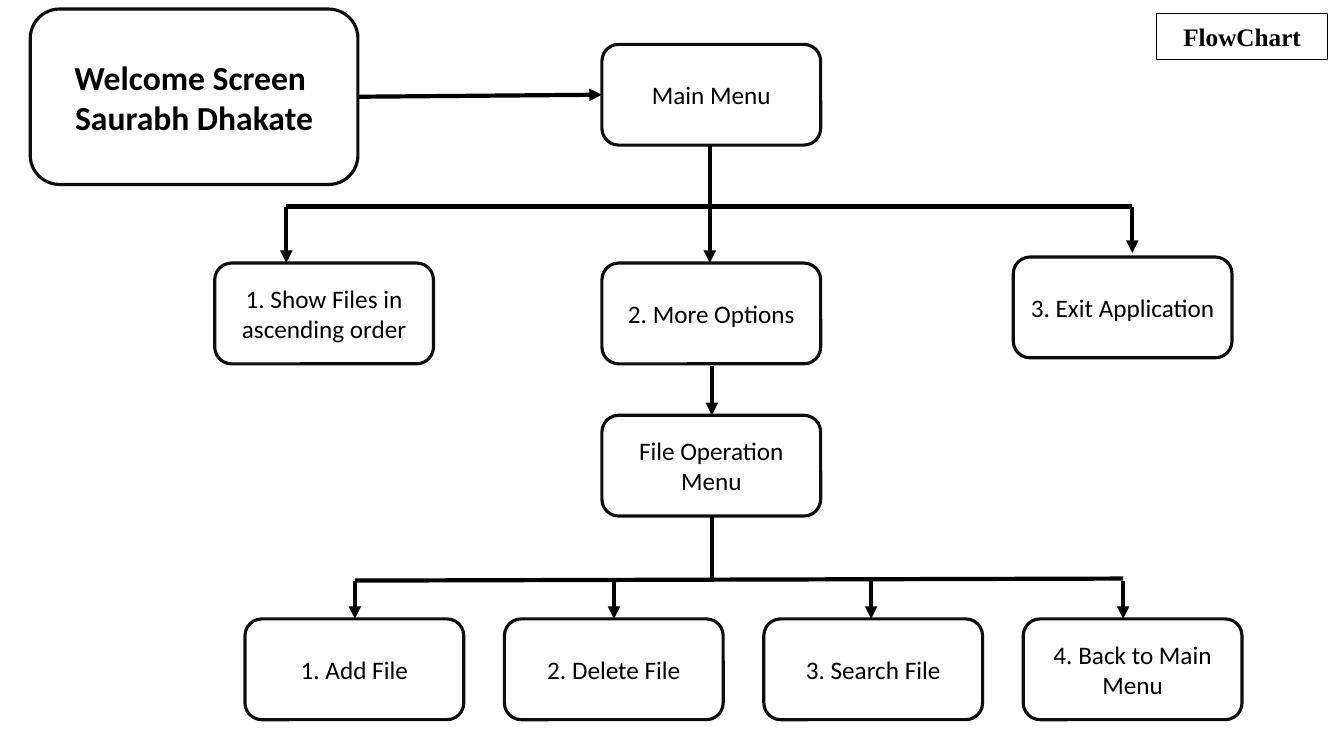
from pptx import Presentation
from pptx.dml.color import RGBColor
from pptx.enum.shapes import MSO_CONNECTOR, MSO_SHAPE
from pptx.enum.text import MSO_ANCHOR, PP_ALIGN
from pptx.oxml.ns import qn
from pptx.util import Inches, Pt
from lxml.etree import SubElement


def color(value):
    return RGBColor.from_string(value)


class FlowChart:
    text_color = "000000"
    connector_color = "000000"
    box_fill = "FFFFFF"
    box_line = "0D0D0D"
    label_font = {"name": "Calibri", "size": Pt(18), "bold": False}
    welcome_font = {"name": "Calibri", "size": Pt(24), "bold": True}
    title_font = {"name": "Times New Roman", "size": Pt(18), "bold": True}

    def __init__(self, slide):
        self.slide = slide

    def shape(self, preset, lines, bounds, font, line_color, line_width):
        shape = self.slide.shapes.add_shape(preset, *map(Inches, bounds))
        shape.shadow.inherit = False
        shape.line.color.rgb = color(line_color)
        shape.line.width = Pt(line_width)
        frame = shape.text_frame
        frame.word_wrap = True
        frame.vertical_anchor = MSO_ANCHOR.MIDDLE
        for index, text in enumerate(lines):
            paragraph = frame.add_paragraph() if index else frame.paragraphs[0]
            paragraph.alignment = PP_ALIGN.CENTER
            run = paragraph.add_run()
            run.text = text
            for attribute, value in font.items():
                setattr(run.font, attribute, value)
            run.font.color.rgb = color(self.text_color)
        return shape

    def box(self, lines, left, top, width=2.17, height=1, font=label_font):
        shape = self.shape(MSO_SHAPE.ROUNDED_RECTANGLE, lines,
                           (left, top, width, height), font, self.box_line, 2.25)
        shape.fill.solid()
        shape.fill.fore_color.rgb = color(self.box_fill)

    def title(self, text, *bounds):
        shape = self.shape(MSO_SHAPE.RECTANGLE, [text], bounds,
                           self.title_font, self.connector_color, 0.75)
        shape.fill.background()

    def line(self, start, end, arrow=False):
        connector = self.slide.shapes.add_connector(
            MSO_CONNECTOR.STRAIGHT, *map(Inches, (*start, *end)))
        connector.line.color.rgb = color(self.connector_color)
        connector.line.width = Pt(3)
        if arrow:
            SubElement(connector.line._get_or_add_ln(), qn("a:tailEnd"), type="triangle")
        SubElement(connector._element.spPr, qn("a:effectLst"))

    def arrow(self, start, end):
        self.line(start, end, arrow=True)


presentation = Presentation()
presentation.slide_width = Inches(13.33)
presentation.slide_height = Inches(7.5)
chart = FlowChart(presentation.slides.add_slide(presentation.slide_layouts[6]))

center_left = 5.97
menu_bar, operation_bar, operation_top = 2.05, 5.76, 6.14

chart.box(["Welcome Screen ", "Saurabh Dhakate"], 0.3, 0.09, 3.25, 1.74, chart.welcome_font)
for text, left, top in [
    ("Main Menu", center_left, 0.44),
    ("1. Show Files in ascending order", 2.13, 2.61),
    ("2. More Options", center_left, 2.61),
    ("3. Exit Application", 10.05, 2.55),
    ("File Operation Menu", center_left, 4.12),
]:
    chart.box([text], left, top)

operations = ["1. Add File", "2. Delete File", "3. Search File", "4. Back to Main Menu"]
for index, text in enumerate(operations):
    chart.box([text], 2.43 + index * 2.573, operation_top)

chart.arrow((3.55, 0.96), (center_left, 0.94))

chart.line((7.04, 1.45), (7.04, menu_bar))
chart.line((2.84, menu_bar), (11.23, menu_bar))
for x, tip in [(2.84, 2.61), (7.04, 2.61), (11.23, 2.51)]:
    chart.arrow((x, menu_bar), (x, tip))

chart.arrow((7.06, 3.63), (7.06, 4.12))
chart.line((7.06, 5.12), (7.06, 5.74))
chart.line((3.52, operation_bar), (11.14, 5.74))
for x in (3.52, 6.09, 8.64, 11.14):
    chart.arrow((x, operation_bar), (x, operation_top))

chart.title("FlowChart", 11.47, 0.13, 1.7, 0.46)

presentation.save("out.pptx")
